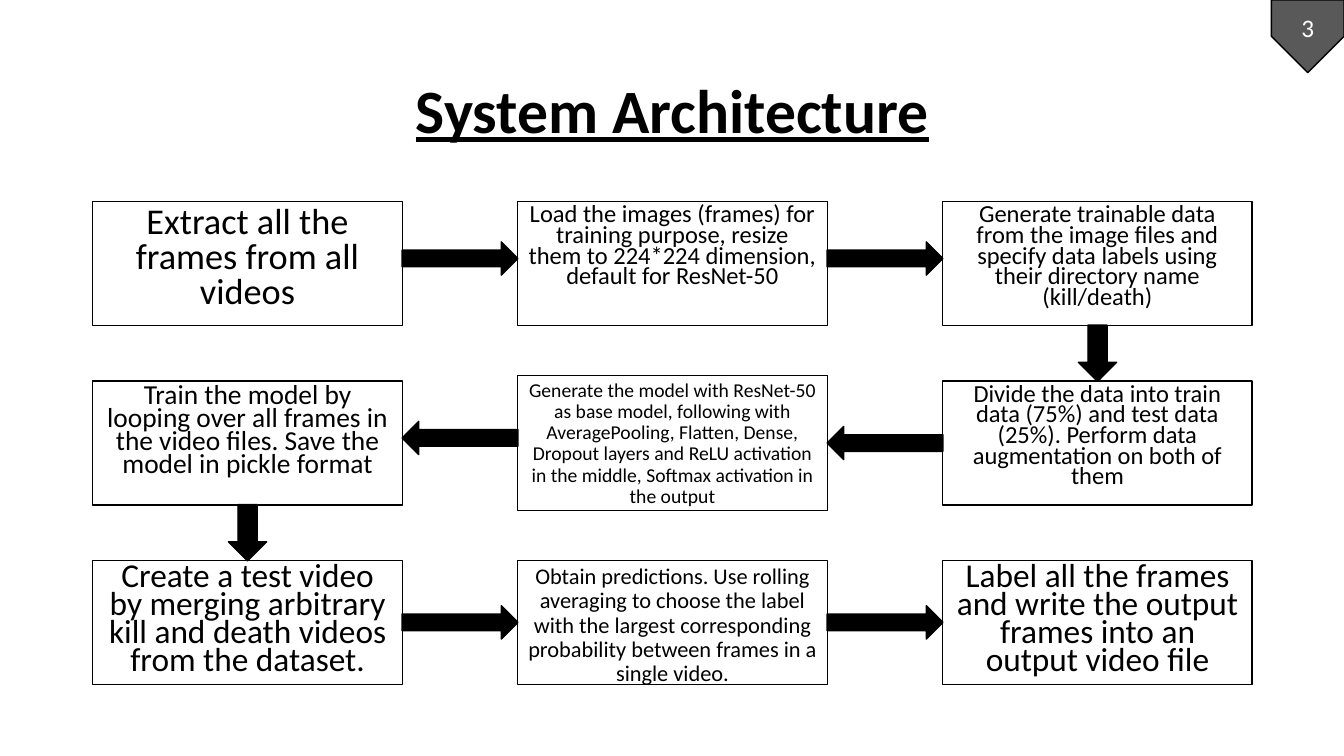
from pptx import Presentation
from pptx.dml.color import RGBColor
from pptx.enum.shapes import MSO_SHAPE
from pptx.enum.text import MSO_ANCHOR, PP_ALIGN
from pptx.util import Inches, Pt

RECTANGLE = MSO_SHAPE.RECTANGLE
ARROW = MSO_SHAPE.RIGHT_ARROW
PENTAGON = MSO_SHAPE.PENTAGON
CENTER = PP_ALIGN.CENTER
TOP, MIDDLE = MSO_ANCHOR.TOP, MSO_ANCHOR.MIDDLE

COLORS = {"ink": "000000", "paper": "FFFFFF", "badge": "595959"}
FONT = "Calibri"

# Grid of steps, in inches
SLIDE_WIDTH, SLIDE_HEIGHT = 13.33, 7.5
LEFT, TOP_ROW = 0.92, 2.0
COLUMN_STEP, ROW_STEP = 4.215, 1.78
BOX_WIDTH, BOX_HEIGHT, TALL_BOX_HEIGHT = 3.07, 1.23, 1.34
BADGE_SIZE = 0.72

# Column, row, font size, line spacing, height, text
STEPS = [
    (0, 0, 25.9, 0.8, BOX_HEIGHT, "Extract all the frames from all videos"),
    (1, 0, 17.5, 0.7, BOX_HEIGHT,
     "Load the images (frames) for training purpose, resize them to 224*224 "
     "dimension, default for ResNet-50"),
    (2, 0, 17.5, 0.7, BOX_HEIGHT,
     "Generate trainable data from the image files and specify data labels "
     "using their directory name (kill/death)"),
    (2, 1, 17.5, 0.7, BOX_HEIGHT,
     "Divide the data into train data (75%) and test data (25%). Perform data "
     "augmentation on both of them"),
    (1, 1, 14, 0.9, TALL_BOX_HEIGHT,
     "Generate the model with ResNet-50 as base model, following with "
     "AveragePooling, Flatten, Dense, Dropout layers and ReLU activation in "
     "the middle, Softmax activation in the output"),
    (0, 1, 19.6, 0.7, BOX_HEIGHT,
     "Train the model by looping over all frames in the video files. Save the "
     "model in pickle format"),
    (0, 2, 23.8, 0.7, BOX_HEIGHT,
     "Create a test video by merging arbitrary kill and death videos from the "
     "dataset."),
    (1, 2, 16, 0.9, BOX_HEIGHT,
     "Obtain predictions. Use rolling averaging to choose the label with the "
     "largest corresponding probability between frames in a single video."),
    (2, 2, 23.8, 0.7, BOX_HEIGHT,
     "Label all the frames and write the output frames into an output video file"),
]

# Column and row of the arrow's middle, rotation, vertical shift in inches
ARROWS = [
    (0.5, 0, 0, -0.05), (1.5, 0, 0, -0.05), (2, 0.5, 90, 0),
    (1.5, 1, 180, 0), (0.5, 1, 180, -0.05), (0, 1.5, 90, 0),
    (0.5, 2, 0, 0), (1.5, 2, 0, 0),
]


def color(name):
    return RGBColor.from_string(COLORS[name])


def grid_center(column, row):
    return (LEFT + column * COLUMN_STEP + BOX_WIDTH / 2,
            TOP_ROW + row * ROW_STEP + BOX_HEIGHT / 2)


def add_outlined_shape(slide, kind, center, width, height, fill=None, rotation=0):
    x, y = center
    shape = slide.shapes.add_shape(kind, Inches(x - width / 2), Inches(y - height / 2),
                                   Inches(width), Inches(height))
    shape.shadow.inherit = False
    shape.rotation = rotation
    if fill:
        shape.fill.solid()
        shape.fill.fore_color.rgb = color(fill)
    else:
        shape.fill.background()
    shape.line.color.rgb = color("ink")
    shape.line.width = Pt(1)
    return shape


def write(shape, text, size, ink="ink", anchor=MIDDLE, spacing=1.0, before=0):
    frame = shape.text_frame
    frame.word_wrap = True
    frame.vertical_anchor = anchor
    paragraph = frame.paragraphs[0]
    paragraph.text = text
    paragraph.alignment = CENTER
    paragraph.line_spacing = spacing
    paragraph.space_before = Pt(before)
    paragraph.font.name = FONT
    paragraph.font.size = Pt(size)
    paragraph.font.color.rgb = color(ink)
    return paragraph


def add_title(slide, text):
    box = slide.shapes.add_textbox(Inches(LEFT), Inches(0.4), Inches(11.5), Inches(1.45))
    paragraph = write(box, text, 44, spacing=0.9)
    paragraph.font.bold = True
    paragraph.font.underline = True


def add_step(slide, column, row, size, spacing, height, text):
    box = add_outlined_shape(slide, RECTANGLE, grid_center(column, row), BOX_WIDTH, height)
    write(box, text, size, anchor=TOP, spacing=spacing, before=10)


def add_arrow(slide, column, row, rotation, shift):
    x, y = grid_center(column, row)
    width, height = (0.56, 0.38) if rotation == 90 else (1.15, 0.33)
    add_outlined_shape(slide, ARROW, (x, y + shift), width, height, "ink", rotation)


def add_page_badge(slide, number):
    center = (SLIDE_WIDTH - BADGE_SIZE / 2, BADGE_SIZE / 2)
    badge = add_outlined_shape(slide, PENTAGON, center, BADGE_SIZE, BADGE_SIZE, "badge", 90)
    write(badge, number, 18, ink="paper")
    # Turn the text back upright inside the rotated shape
    badge.element.txBody.bodyPr.set("vert", "vert270")


def main():
    presentation = Presentation()
    presentation.slide_width = Inches(SLIDE_WIDTH)
    presentation.slide_height = Inches(SLIDE_HEIGHT)
    slide = presentation.slides.add_slide(presentation.slide_layouts[6])
    slide.background.fill.solid()
    slide.background.fill.fore_color.rgb = color("paper")

    add_title(slide, "System Architecture")
    for step in STEPS:
        add_step(slide, *step)
    for arrow in ARROWS:
        add_arrow(slide, *arrow)
    add_page_badge(slide, "3")

    presentation.save("out.pptx")


if __name__ == "__main__":
    main()
